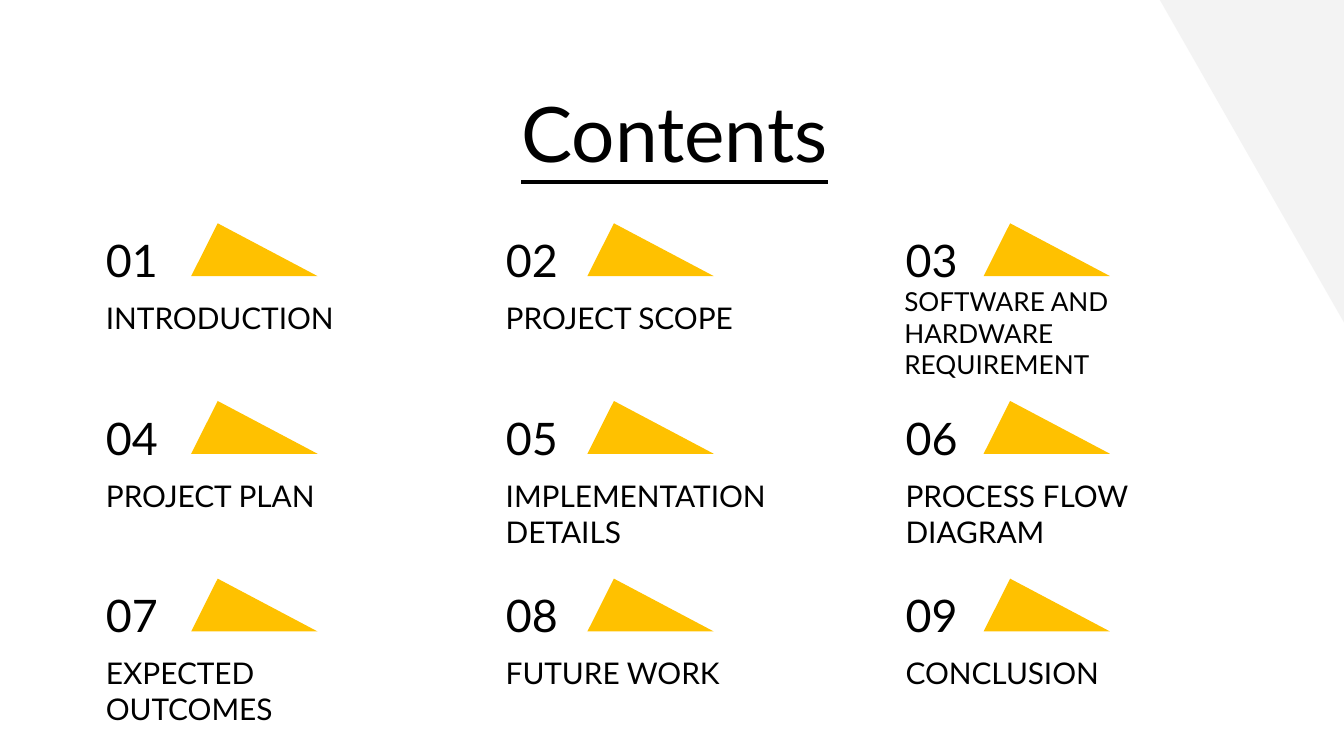
from pptx import Presentation
from pptx.dml.color import RGBColor
from pptx.enum.shapes import MSO_SHAPE as Shape
from pptx.enum.text import MSO_ANCHOR as Anchor, PP_ALIGN as Align
from pptx.util import Inches, Pt

COLORS = {"text": "000000", "accent": "FFC100", "corner": "F3F3F3"}
FONT = "Lato"
COLUMNS = 100  # square grid cells across the slide width

TOPICS = [
    "INTRODUCTION", "PROJECT SCOPE", "SOFTWARE AND HARDWARE REQUIREMENT",
    "PROJECT PLAN", "IMPLEMENTATION DETAILS", "PROCESS FLOW DIAGRAM",
    "EXPECTED OUTCOMES", "FUTURE WORK", "CONCLUSION",
]
# Topics that need a smaller size and a shifted, wider box
ADJUSTMENTS = {2: {"size": 14, "shift": (-0.1, -1.05), "width": 26.1}}


class ContentsSlide:
    def __init__(self, presentation):
        self.slide = presentation.slides.add_slide(presentation.slide_layouts[6])
        self.cell = presentation.slide_width / COLUMNS

    def box(self, *cells):
        return [round(value * self.cell) for value in cells]

    def triangle(self, kind, cells, color, rotation=0, apex=None):
        shape = self.slide.shapes.add_shape(kind, *self.box(*cells))
        shape.shadow.inherit = False
        shape.fill.solid()
        shape.fill.fore_color.rgb = RGBColor.from_string(COLORS[color])
        shape.line.fill.background()
        shape.rotation = rotation
        if apex is not None:
            shape.adjustments[0] = apex

    def text(self, text, cells, size, anchor=Anchor.TOP, align=Align.LEFT,
             underline=False, space_after=0):
        frame = self.slide.shapes.add_textbox(*self.box(*cells)).text_frame
        frame.word_wrap = True
        frame.vertical_anchor = anchor
        for side in ("left", "right", "top", "bottom"):
            setattr(frame, f"margin_{side}", Inches(0.1))
        paragraph = frame.paragraphs[0]
        paragraph.alignment = align
        paragraph.space_after = Pt(space_after)
        run = paragraph.add_run()
        run.text = text
        formats = {"name": FONT, "size": Pt(size), "underline": underline}
        for name, value in formats.items():
            setattr(run.font, name, value)
        run.font.color.rgb = RGBColor.from_string(COLORS["text"])

    def topic(self, index, label, size=16, shift=(0, 0), width=24):
        row, column = divmod(index, 3)
        left = 6.9 + 29.75 * column
        top = 17.35 + 13.22 * row
        shift_x, shift_y = shift
        self.triangle(Shape.ISOSCELES_TRIANGLE,
                      (14.23 + 29.48 * column, top - 0.73, 9.4, 3.93),
                      "accent", apex=0.21)
        self.text(f"{index + 1:02}", (left, top, 11.8, 3.9), 24, Anchor.MIDDLE)
        self.text(label, (left + shift_x, top + 3.95 + shift_y, width, 3.9),
                  size, space_after=16)


def main():
    presentation = Presentation()
    presentation.slide_width = Inches(10)
    presentation.slide_height = Inches(10 * 9 / 16)
    contents = ContentsSlide(presentation)

    # Corner decoration
    contents.triangle(Shape.RIGHT_TRIANGLE, (86.3, 0, 13.7, 24), "corner",
                      rotation=180)

    # Heading
    contents.text("Contents", (5.9, 5.4, 88.6, 6.3), 41, align=Align.CENTER,
                  underline=True)

    # Numbered topics in a three by three grid
    for index, label in enumerate(TOPICS):
        contents.topic(index, label, **ADJUSTMENTS.get(index, {}))

    presentation.save("out.pptx")


if __name__ == "__main__":
    main()
